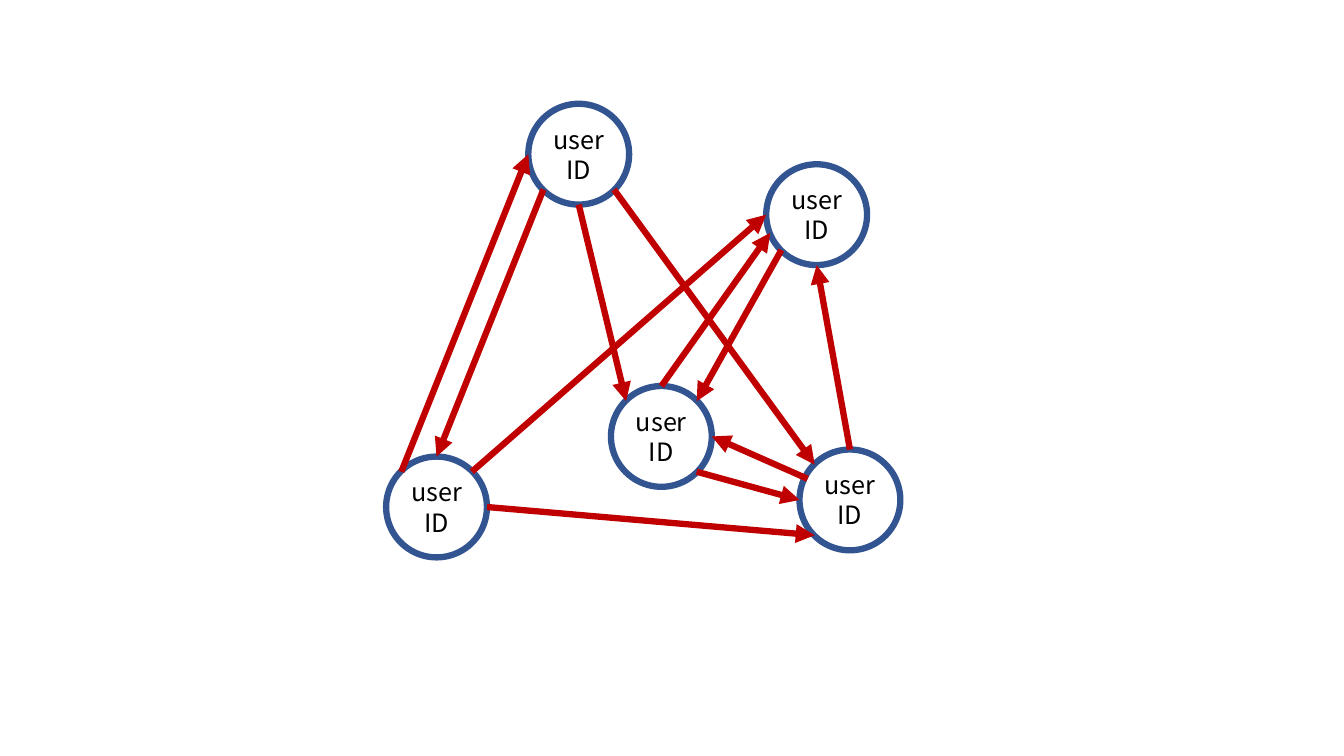
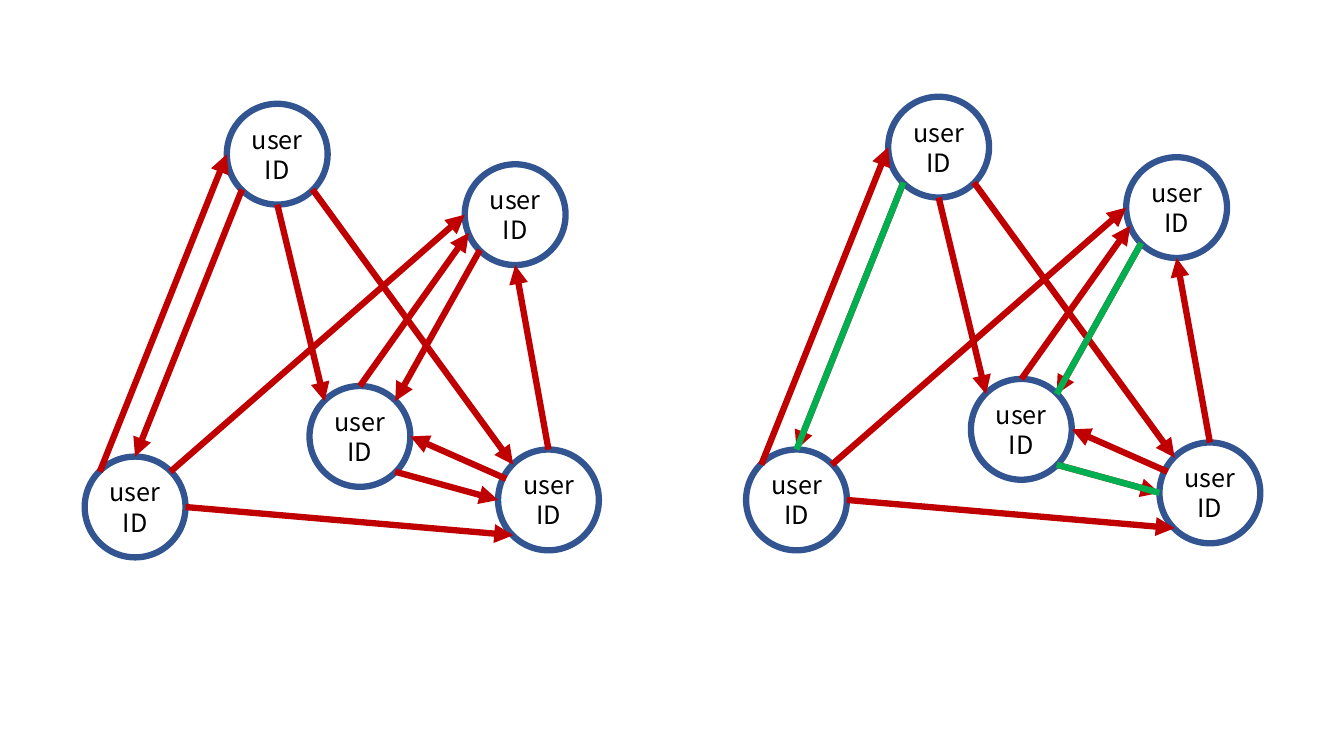
import pptx
import pptx.util
import pptx.dml.color
import pptx.enum.shapes
import pptx.enum.text
import pptx.oxml.ns
import lxml.etree

BLUE = pptx.dml.color.RGBColor(0x32, 0x54, 0x91)
RED = pptx.dml.color.RGBColor(0xC0, 0x00, 0x00)
GREEN = pptx.dml.color.RGBColor(0x00, 0xB0, 0x50)
WHITE = pptx.dml.color.RGBColor(0xFF, 0xFF, 0xFF)
BLACK = pptx.dml.color.RGBColor(0x00, 0x00, 0x00)

SLIDE_WIDTH, SLIDE_HEIGHT = 13.33, 7.5
DIAMETER = 1
LINE_WIDTH = pptx.util.Pt(4.5)
BLANK_LAYOUT = 6
FONT_FORMAT = {"name": "Noto Sans CJK SC", "size": pptx.util.Pt(18)}
PARAGRAPH_FORMAT = {
    "alignment": pptx.enum.text.PP_ALIGN.CENTER,
    "line_spacing": pptx.util.Pt(21.5),
}

# Top left corner of each node, counted from the corner of its graph
NODES = {
    "middle": (2.23, 2.8),
    "left": (0, 3.5),
    "top": (1.41, 0),
    "right": (4.1, 3.43),
    "upper": (3.77, 0.6),
}

# Points on a node's rim, as shares of its diameter
NEAR, FAR = 0.15, 0.85
PORTS = {
    "n": (0.5, 0), "e": (1, 0.5), "s": (0.5, 1), "w": (0, 0.5),
    "nw": (NEAR, NEAR), "ne": (FAR, NEAR),
    "sw": (NEAR, FAR), "se": (FAR, FAR),
    "wnw": (0.08, 0.29), "wsw": (0.04, 0.68),
}

# Node and port where each link starts and ends
UPPER_TO_MIDDLE = ("upper", "sw", "middle", "ne")
TOP_TO_LEFT = ("top", "sw", "left", "n")
MIDDLE_TO_RIGHT = ("middle", "se", "right", "w")
LINKS = [
    UPPER_TO_MIDDLE,
    TOP_TO_LEFT,
    ("top", "s", "middle", "nw"),
    ("top", "se", "right", "nw"),
    ("left", "e", "right", "sw"),
    ("left", "ne", "upper", "w"),
    MIDDLE_TO_RIGHT,
    ("right", "wnw", "middle", "e"),
    ("right", "n", "upper", "s"),
    ("middle", "n", "upper", "wsw"),
    ("left", "nw", "top", "w"),
]
MATCHING = [TOP_TO_LEFT, MIDDLE_TO_RIGHT, UPPER_TO_MIDDLE]

# Graphs on each slide: corner and highlighted links
SLIDES = [
    [((3.83, 1.03), [])],
    [((0.84, 1.03), []), ((7.4, 0.96), MATCHING)],
]


def apply_format(target, values):
    for name, value in values.items():
        setattr(target, name, value)


def add_node(slide, origin, name):
    left, top = (start + offset for start, offset in zip(origin, NODES[name]))
    shape = slide.shapes.add_shape(
        pptx.enum.shapes.MSO_SHAPE.OVAL,
        *map(pptx.util.Inches, (left, top, DIAMETER, DIAMETER)))
    shape.shadow.inherit = False
    shape.fill.solid()
    shape.fill.fore_color.rgb = WHITE
    shape.line.color.rgb = BLUE
    shape.line.width = LINE_WIDTH
    frame = shape.text_frame
    apply_format(frame, {
        "word_wrap": True,
        "vertical_anchor": pptx.enum.text.MSO_ANCHOR.MIDDLE,
    })
    paragraph = frame.paragraphs[0]
    apply_format(paragraph, PARAGRAPH_FORMAT)
    run = paragraph.add_run()
    run.text = "user ID"
    apply_format(run.font, FONT_FORMAT)
    run.font.color.rgb = BLACK


def port_position(origin, node, port):
    return [pptx.util.Inches(start + offset + share * DIAMETER)
            for start, offset, share in zip(origin, NODES[node], PORTS[port])]


def add_link(slide, origin, link, color, arrow):
    start_node, start_port, end_node, end_port = link
    connector = slide.shapes.add_connector(
        pptx.enum.shapes.MSO_CONNECTOR.STRAIGHT,
        *port_position(origin, start_node, start_port),
        *port_position(origin, end_node, end_port))
    connector.line.color.rgb = color
    connector.line.width = LINE_WIDTH
    properties = connector._element.spPr
    if arrow:
        line = properties.find(pptx.oxml.ns.qn("a:ln"))
        lxml.etree.SubElement(line, pptx.oxml.ns.qn("a:tailEnd"), type="triangle")
    lxml.etree.SubElement(properties, pptx.oxml.ns.qn("a:effectLst"))


def add_graph(slide, origin, highlighted):
    for name in NODES:
        add_node(slide, origin, name)
    for link in LINKS:
        add_link(slide, origin, link, RED, arrow=True)
    for link in highlighted:
        add_link(slide, origin, link, GREEN, arrow=False)


def main():
    presentation = pptx.Presentation()
    presentation.slide_width = pptx.util.Inches(SLIDE_WIDTH)
    presentation.slide_height = pptx.util.Inches(SLIDE_HEIGHT)
    for graphs in SLIDES:
        slide = presentation.slides.add_slide(presentation.slide_layouts[BLANK_LAYOUT])
        for origin, highlighted in graphs:
            add_graph(slide, origin, highlighted)
    presentation.save("out.pptx")


main()
